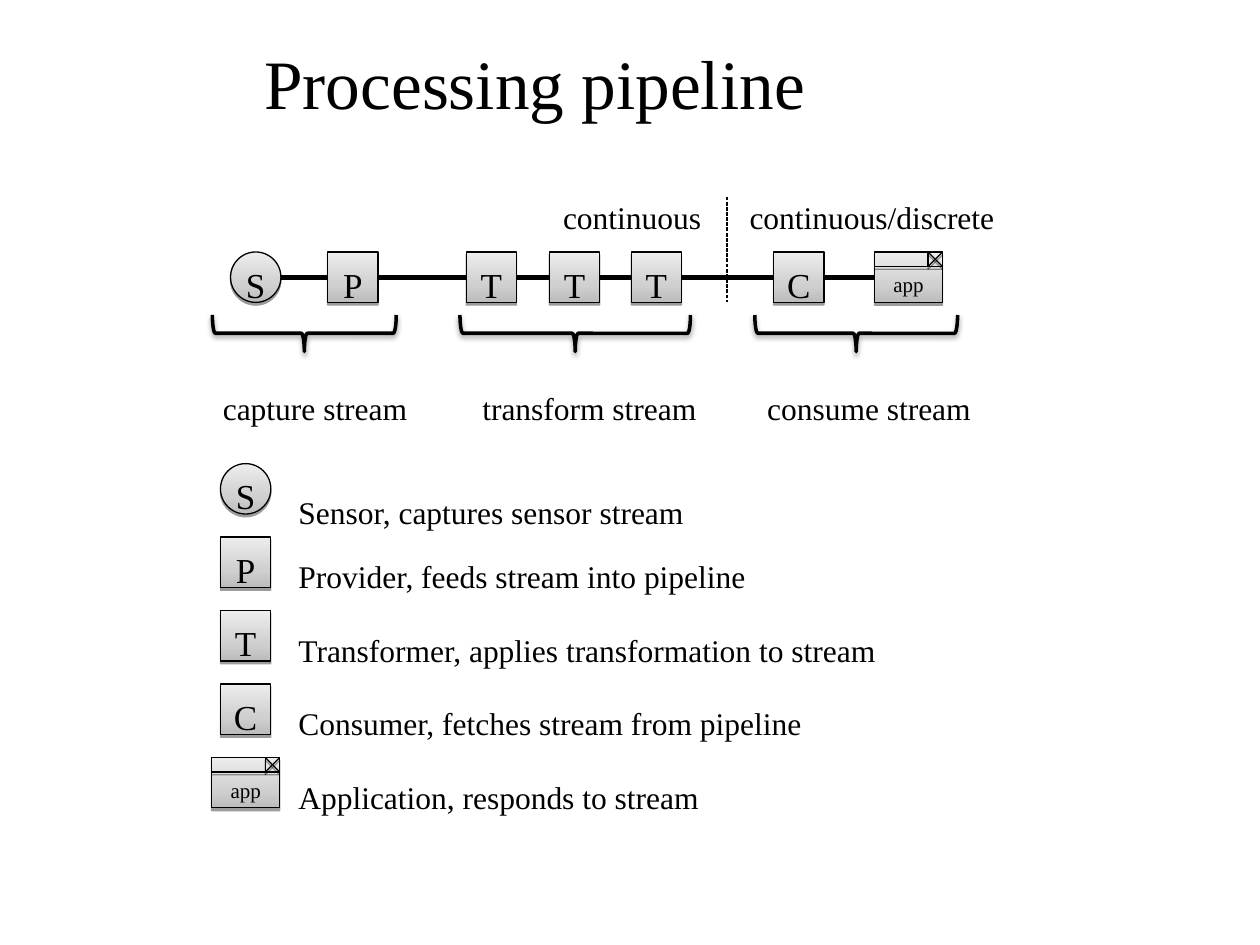
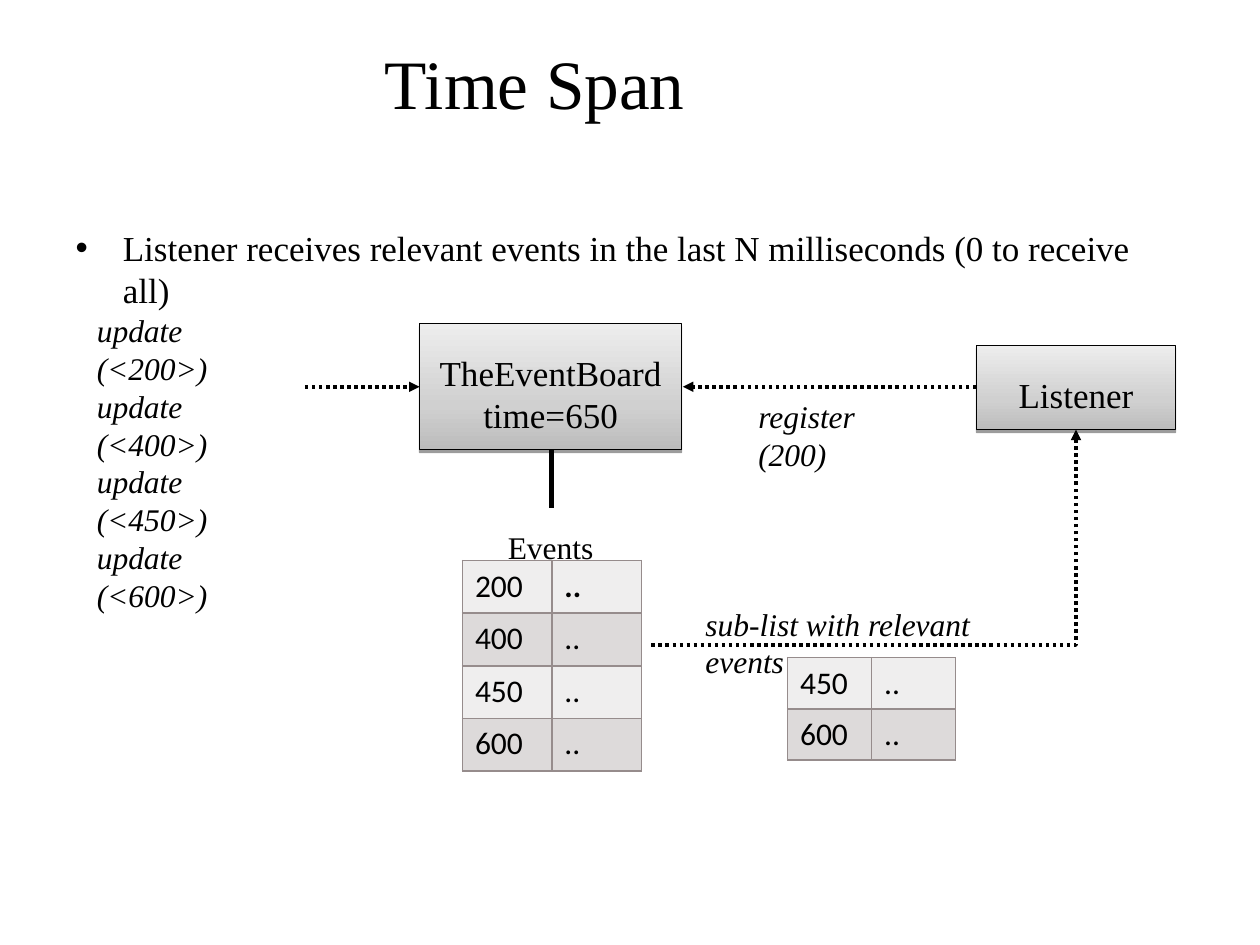
from copy import deepcopy
from itertools import pairwise

from pptx import Presentation
from pptx.dml.color import RGBColor
from pptx.enum.dml import MSO_LINE as Dash
from pptx.enum.shapes import MSO_CONNECTOR as Link, MSO_SHAPE as Shape
from pptx.enum.text import MSO_ANCHOR as Anchor, MSO_AUTO_SIZE as Fit, PP_ALIGN as Align
from pptx.oxml import parse_xml
from pptx.oxml.ns import nsdecls, qn
from pptx.util import Emu, Inches, Pt

SLIDE_WIDTH, SLIDE_HEIGHT = Inches(10), Inches(7.5)
COLUMNS = 100
CELL = SLIDE_WIDTH / COLUMNS
SERIF, SANS = "Times New Roman", "Calibri"
BLACK, TABLE_LINE = "000000", "968C8C"
BANDS = ("EFEEEE", "DDDADA")
GRADIENT = ((0, "BCBCBC"), (0.35, "D0D0D0"), (1, "EDEDED"))
TITLE_BOX = (13.3, 3, 58.3, 7)
NODE, APP_WIDTH = 4, 5.4
LOW_TEXT = 1.6


def color(value):
    return RGBColor.from_string(value)


def cells(*counts):
    return [Emu(round(count * CELL)) for count in counts]


def write(frame, text, size=18, font=SERIF, bold=False, italic=False, align=Align.LEFT,
          anchor=Anchor.TOP, inset_top=0.5, wrap=True, fit=Fit.NONE):
    frame.word_wrap = wrap
    frame.auto_size = fit
    frame.vertical_anchor = anchor
    frame.margin_top, = cells(inset_top)
    frame.text = text
    frame.paragraphs[0].space_before = Pt(0)
    for paragraph in frame.paragraphs:
        paragraph.alignment = align
        for run in paragraph.runs:
            run.font.name = font
            run.font.size = Pt(size)
            run.font.bold = bold
            run.font.italic = italic
            run.font.color.rgb = color(BLACK)


def label(slide, box, text, **fmt):
    write(slide.shapes.add_textbox(*cells(*box)).text_frame, text, **fmt)


def tag(slide, left, top, width, text):
    label(slide, (left, top, width, 5.1), text, inset_top=LOW_TEXT, wrap=False,
          fit=Fit.SHAPE_TO_FIT_TEXT)


def shadow(effects, blur=0):
    effects.append(parse_xml(
        f'<a:outerShdw {nsdecls("a")} blurRad="{Pt(blur)}" dist="{Pt(1.6)}" dir="5400000" '
        f'rotWithShape="0"><a:srgbClr val="{BLACK}"><a:alpha val="38000"/></a:srgbClr>'
        '</a:outerShdw>'))


def outline(shape, weight, blur=0):
    shape.line.color.rgb = color(BLACK)
    shape.line.width = Pt(weight)
    shape.shadow.inherit = False
    shadow(shape._element.spPr.find(qn("a:effectLst")), blur)


def line(slide, start, end, weight=3, dash=None, arrow=False, shaded=False, bent=False):
    link = slide.shapes.add_connector(Link.ELBOW if bent else Link.STRAIGHT,
                                      *cells(*start, *end))
    properties = link._element.spPr
    link.line.color.rgb = color(BLACK)
    link.line.width = Pt(weight)
    if dash:
        link.line.dash_style = dash
    if arrow:
        properties.find(qn("a:ln")).append(
            parse_xml(f'<a:tailEnd {nsdecls("a")} type="triangle"/>'))
    if bent:
        properties.find(qn("a:prstGeom")).set("prst", "bentConnector2")
    effects = parse_xml(f'<a:effectLst {nsdecls("a")}/>')
    properties.append(effects)
    if shaded:
        shadow(effects)


def block(slide, box, text, kind=Shape.RECTANGLE, size=20):
    shape = slide.shapes.add_shape(kind, *cells(*box))
    shape.fill.gradient()
    shape.fill.gradient_angle = 90
    stops = shape._element.spPr.find(".//" + qn("a:gsLst"))
    stops.insert(1, deepcopy(stops[0]))
    for stop, (position, shade) in zip(shape.fill.gradient_stops, GRADIENT):
        stop.color.rgb = color(shade)
        stop.position = position
    outline(shape, 0.75)
    write(shape.text_frame, text, size=size, align=Align.CENTER, anchor=Anchor.MIDDLE,
          inset_top=LOW_TEXT, wrap=False)


def icon_width(name):
    return APP_WIDTH if name == "app" else NODE


def icon(slide, left, top, name):
    box = (left, top, icon_width(name), NODE)
    if name != "app":
        block(slide, box, name, Shape.OVAL if name == "S" else Shape.RECTANGLE)
        return
    block(slide, box, name, Shape.FLOWCHART_PROCESS, size=12)
    right, bar, close = left + APP_WIDTH, top + 1.15, left + 4.25
    for start, end in (((left, bar), (right, bar)), ((close, top), (close, bar)),
                       ((close, top), (right, bar)), ((right, top), (close, bar))):
        line(slide, start, end, weight=0.75, shaded=True)


def brace(slide, left, top, width):
    depth = 2.9
    shape = slide.shapes.add_shape(
        Shape.RIGHT_BRACE,
        *cells(left + (width - depth) / 2, top + (depth - width) / 2, depth, width))
    shape.rotation = 90
    shape.fill.background()
    outline(shape, 2, blur=3.1)


def pipeline(slide, left, top):
    nodes = (("S", 1.6), ("P", 9.3), ("T", 20.3), ("T", 26.9), ("T", 33.4),
             ("C", 44.7), ("app", 52.7))
    row = top + 5.9
    middle = row + NODE / 2
    for (name, start), (_, end) in pairwise(nodes):
        line(slide, (left + start + icon_width(name), middle), (left + end, middle))
    for name, offset in nodes:
        icon(slide, left + offset, row, name)
    for text, brace_left, brace_width, text_left, text_width in (
            ("capture stream", 0.15, 14.6, 0, 16.8),
            ("transform stream", 19.8, 18.3, 20.6, 19.3),
            ("consume stream", 43.2, 16.1, 43.2, 18.3)):
        brace(slide, left + brace_left, top + 10.9, brace_width)
        tag(slide, left + text_left, top + 15.2, text_width, text)
    line(slide, (left + 41, top + 1.5), (left + 41, top + 9.9), weight=0.75,
         dash=Dash.SQUARE_DOT)
    tag(slide, left + 27, top, 13.2, "continuous")
    tag(slide, left + 41.8, top, 21.8, "continuous/discrete")


def legend(slide, left, top):
    entries = (("S", "Sensor, captures sensor stream", 32.8, 0.7),
               ("P", "Provider, feeds stream into pipeline", 37.9, 0),
               ("T", "Transformer, applies transformation to stream", 48.9, 0),
               ("C", "Consumer, fetches stream from pipeline", 43.3, 0),
               ("app", "Application, responds to stream", 34.3, 0))
    for index, (name, text, width, drop) in enumerate(entries):
        row = top + index * 5.83
        icon(slide, left + (APP_WIDTH - icon_width(name)) / 2, row, name)
        tag(slide, left + 5.9, row + drop, width, text)


def event_table(slide, left, top, column, row, times, bold_first=False):
    frame = slide.shapes.add_table(len(times), 2,
                                   *cells(left, top, 2 * column, row * len(times)))
    table = frame.table
    table.first_row = table.horz_banding = False
    for table_column in table.columns:
        table_column.width, = cells(column)
    for index, time in enumerate(times):
        table.rows[index].height, = cells(row)
        for position, text in enumerate((time, "..")):
            cell = table.cell(index, position)
            for side in "LRTB":
                cell._tc.get_or_add_tcPr().append(parse_xml(
                    f'<a:ln{side} {nsdecls("a")} w="{Pt(1)}"><a:solidFill>'
                    f'<a:srgbClr val="{TABLE_LINE}"/></a:solidFill></a:ln{side}>'))
            cell.fill.solid()
            cell.fill.fore_color.rgb = color(BANDS[index % 2])
            write(cell.text_frame, text, font=SANS,
                  bold=bold_first and index == 0 and position == 1)


def event_board(slide, left, top):
    block(slide, (left, top, 20.8, 10), "TheEventBoard\ntime=650")
    line(slide, (left + 10.5, top + 10), (left + 10.5, top + 14.6))
    label(slide, (left + 2.5, top + 14.6, 15.8, 21.7), "Events", align=Align.CENTER,
          inset_top=LOW_TEXT)
    event_table(slide, left + 3.4, top + 18.8, 7.1, 4.17, ("200", "400", "450", "600"),
                bold_first=True)


def updates(slide, left, top):
    calls = "\n".join(f"update (<{time}>)" for time in (200, 400, 450, 600))
    label(slide, (left, top, 17.6, 13.1), calls, italic=True)
    line(slide, (left + 17.5, top + 6.5), (left + 26.6, top + 6.5), weight=2,
         dash=Dash.ROUND_DOT, arrow=True)


def listener(slide, left, top):
    block(slide, (left, top, 15.8, 6.7), "Listener")
    line(slide, (left, top + 3.3), (left - 23.3, top + 3.3), weight=2,
         dash=Dash.ROUND_DOT, arrow=True)
    label(slide, (left - 18.3, top + 3.6, 15, 4), "register (200)", italic=True)


def relevant_events(slide, left, top):
    line(slide, (left, top + 3.7), (left + 33.7, top - 13.4), weight=2,
         dash=Dash.ROUND_DOT, arrow=True, bent=True)
    label(slide, (left + 3.3, top, 29.1, 4), "sub-list with relevant events", italic=True)
    event_table(slide, left + 10.8, top + 4.7, 6.67, 4, ("450", "600"))


def place(placeholder, box, text, **fmt):
    placeholder.left, placeholder.top, placeholder.width, placeholder.height = cells(*box)
    write(placeholder.text_frame, text, **fmt)


def titled_slide(deck, layout, title):
    slide = deck.slides.add_slide(deck.slide_layouts.get_by_name(layout))
    place(slide.shapes.title, TITLE_BOX, title, size=39.6, align=Align.CENTER,
          anchor=Anchor.MIDDLE)
    return slide


def pipeline_slide(deck):
    slide = titled_slide(deck, "Title Only", "Processing pipeline")
    pipeline(slide, 16.7, 14.1)
    legend(slide, 16.8, 36.8)


def time_span_slide(deck):
    slide = titled_slide(deck, "Title and Content", "Time Span")
    place(slide.placeholders[1], (5, 17.5, 90, 5),
          "Listener receives relevant events in the last N milliseconds (0 to receive all)",
          size=20)
    event_board(slide, 33.3, 25.7)
    updates(slide, 6.7, 24.2)
    listener(slide, 77.5, 27.4)
    relevant_events(slide, 51.7, 47.5)


def main():
    deck = Presentation()
    deck.slide_width, deck.slide_height = SLIDE_WIDTH, SLIDE_HEIGHT
    pipeline_slide(deck)
    time_span_slide(deck)
    deck.save("out.pptx")


if __name__ == "__main__":
    main()
